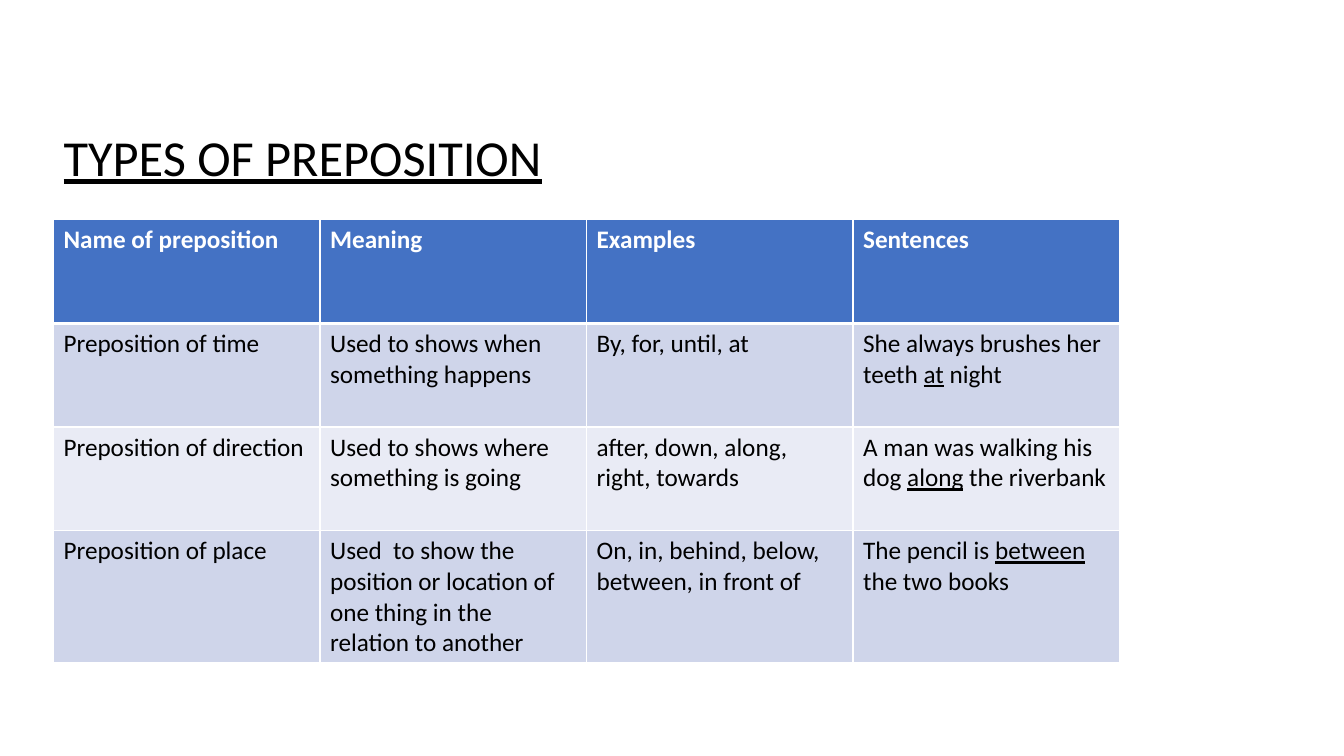
from dataclasses import dataclass

from lxml.etree import SubElement
from pptx import Presentation
from pptx.dml.color import RGBColor as Rgb
from pptx.enum.text import MSO_ANCHOR as Anchor
from pptx.enum.text import MSO_AUTO_SIZE as Fit
from pptx.enum.text import PP_ALIGN as Align
from pptx.oxml.ns import qn
from pptx.util import Pt

HUES = {
    "white": "FFFFFF",
    "black": "000000",
    "blue": "4472C4",
    "light": "CFD5EA",
    "pale": "E9EBF5",
}
LEFT = 38.2
WIDTH = 190.4


@dataclass
class Row:
    texts: list[str]
    fill: str
    high: float = 74
    ink: str = "black"
    bold: bool = False
    top: float = 1
    base: float = 1


# Underscores enclose the underlined words.
ROWS = [
    Row(["Name of preposition", "Meaning", "Examples", "Sentences"],
        "blue", ink="white", bold=True, base=3),
    Row(["Preposition of time", "Used to shows when something happens",
         "By, for, until, at", "She always brushes her teeth _at_ night"],
        "light", top=3),
    Row(["Preposition of direction", "Used to shows where something is going",
         "after, down, along, right, towards",
         "A man was walking his dog _along_ the riverbank"], "pale"),
    Row(["Preposition of place",
         "Used  to show the position or location of one thing in the relation to another",
         "On, in, behind, below, between, in front of",
         "The pencil is _between_ the two books"], "light", high=94),
]


def style(item, form: dict) -> None:
    for name, value in form.items():
        setattr(item, name, value)


def write(para, text: str, size: float, ink: str, bold: bool = False) -> None:
    """Add runs, underlining each part between underscores."""
    for num, part in enumerate(text.split("_")):
        if part:
            run = para.add_run()
            run.text = part
            style(run.font, {"name": "Calibri", "size": Pt(size),
                             "bold": bold, "underline": num % 2 == 1})
            run.font.color.rgb = Rgb.from_string(HUES[ink])


def edge(cell, row: Row) -> None:
    """Give the cell white borders; call before filling it."""
    props = cell._tc.get_or_add_tcPr()
    for side, thick in {"L": 1, "R": 1, "T": row.top, "B": row.base}.items():
        line = SubElement(props, qn(f"a:ln{side}"), w=str(Pt(thick)))
        fill = SubElement(line, qn("a:solidFill"))
        SubElement(fill, qn("a:srgbClr"), val=HUES["white"])


def add_title(slide) -> None:
    title = slide.shapes.title
    style(title, {"left": Pt(LEFT), "top": Pt(86.4),
                  "width": Pt(418.3), "height": Pt(51)})
    frame = title.text_frame
    style(frame, {"word_wrap": True, "auto_size": Fit.SHAPE_TO_FIT_TEXT,
                  "vertical_anchor": Anchor.TOP})
    para = frame.paragraphs[0]
    para.alignment = Align.LEFT
    write(para, "_TYPES OF PREPOSITION_", 36, "black")


def add_grid(slide) -> None:
    count = len(ROWS[0].texts)
    high = sum(row.high for row in ROWS)
    grid = slide.shapes.add_table(len(ROWS), count, Pt(LEFT), Pt(157),
                                  Pt(WIDTH * count), Pt(high)).table
    for col in grid.columns:
        col.width = Pt(WIDTH)
    for line, row in zip(grid.rows, ROWS):
        line.height = Pt(row.high)
        for cell, text in zip(line.cells, row.texts):
            edge(cell, row)
            cell.fill.solid()
            cell.fill.fore_color.rgb = Rgb.from_string(HUES[row.fill])
            write(cell.text_frame.paragraphs[0], text, 18, row.ink, row.bold)


def main() -> None:
    deck = Presentation()
    style(deck, {"slide_width": Pt(960), "slide_height": Pt(540)})
    slide = deck.slides.add_slide(deck.slide_layouts[5])
    add_grid(slide)
    add_title(slide)
    deck.save("out.pptx")


if __name__ == "__main__":
    main()
